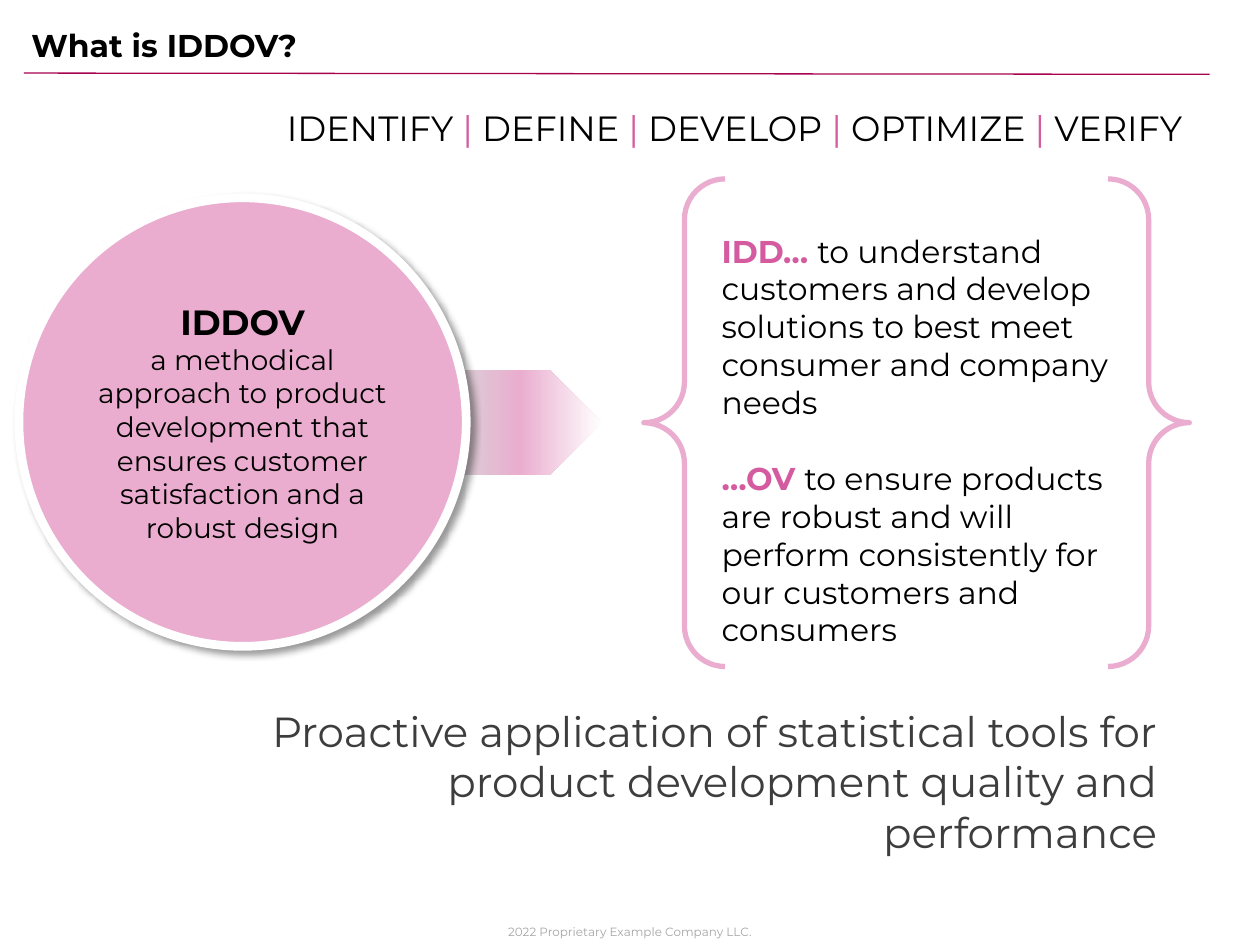
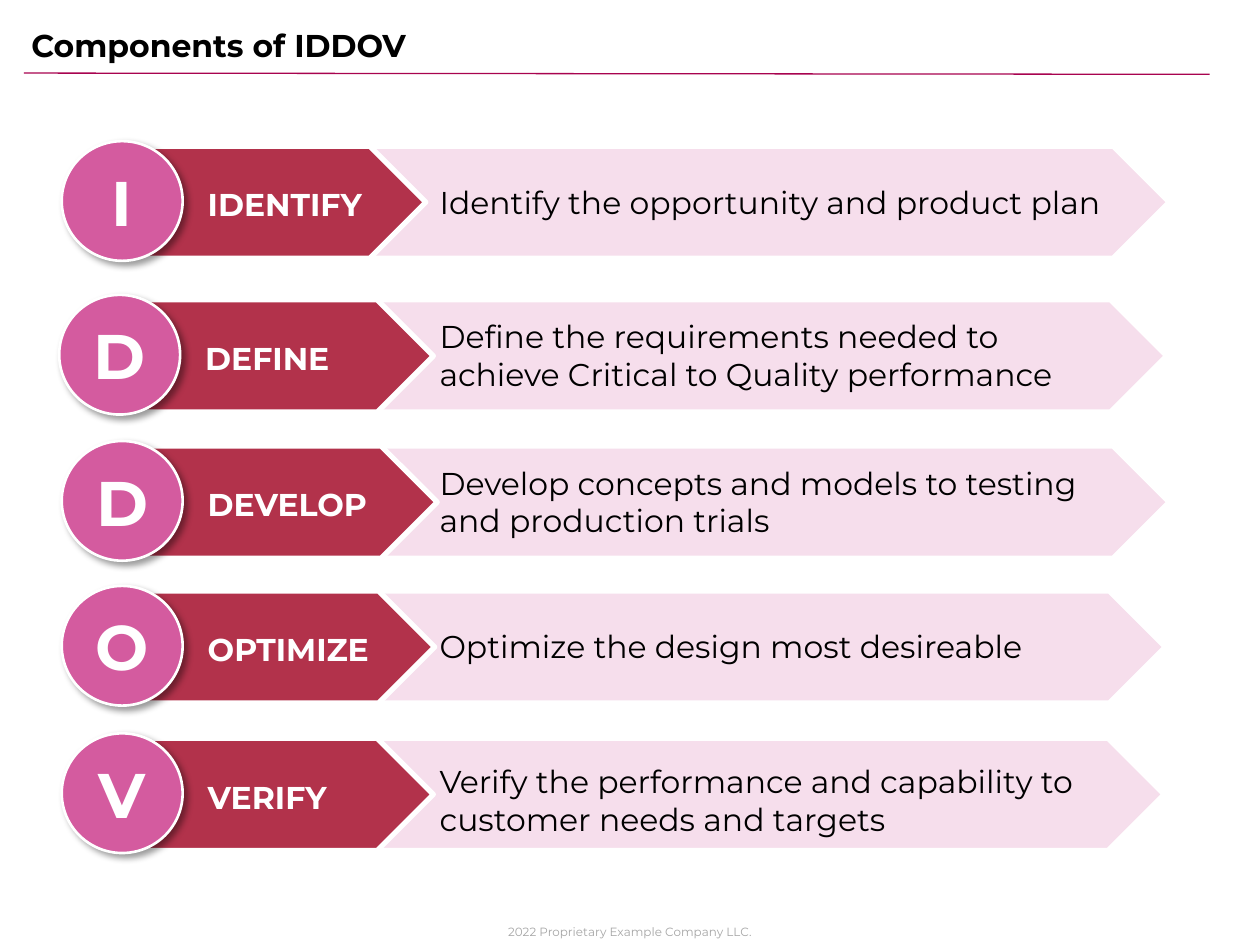
from copy import deepcopy
from lxml.etree import SubElement
from pptx import Presentation
from pptx.dml.color import RGBColor
from pptx.enum.shapes import MSO_CONNECTOR, MSO_SHAPE
from pptx.enum.text import MSO_ANCHOR, PP_ALIGN
from pptx.oxml.ns import qn
from pptx.util import Inches, Pt

FONT = "Montserrat"
BLACK, WHITE, GRAY, CHARCOAL = "000000", "FFFFFF", "A6A6A6", "3D3D3D"
MAGENTA, PINK, ROSE, PALE, CRIMSON = "A8034F", "D45B9F", "EAADCF", "F6DEEC", "B2324B"


def write(para, text, size=18, color=BLACK, bold=False, align=PP_ALIGN.LEFT):
    para.alignment = align
    span = para.add_run()
    span.text = text
    span.font.name = FONT
    span.font.size = Pt(size)
    span.font.bold = bold
    span.font.color.rgb = RGBColor.from_string(color)


def draw(page, kind, left, top, width, height, fill=None, line=None, weight=1, shadow=False):
    area = [Inches(length) for length in (left, top, width, height)]
    if kind is None:
        box = page.shapes.add_textbox(*area)
    else:
        box = page.shapes.add_shape(kind, *area)
        box.shadow.inherit = False
        box.text_frame.vertical_anchor = MSO_ANCHOR.MIDDLE
    box.text_frame.word_wrap = True
    if fill:
        box.fill.solid()
        box.fill.fore_color.rgb = RGBColor.from_string(fill)
    else:
        box.fill.background()
    if line:
        box.line.color.rgb = RGBColor.from_string(line)
        box.line.width = Pt(weight)
    else:
        box.line.fill.background()
    if shadow:
        effects = box._element.spPr.find(qn("a:effectLst"))
        outer = SubElement(effects, qn("a:outerShdw"), blurRad=str(Pt(4)), dist=str(Pt(3)),
                           dir="2700000", algn="tl", rotWithShape="0")
        tint = SubElement(outer, qn("a:srgbClr"), val=BLACK)
        SubElement(tint, qn("a:alpha"), val="40000")
    return box


deck = Presentation()
deck.slide_width, deck.slide_height = Inches(10), Inches(7.5)

for title in ("What is IDDOV?", "Components of IDDOV"):
    page = deck.slides.add_slide(deck.slide_layouts[6])
    footer = draw(page, None, 3.5, 7.29, 3, 0.21)
    write(footer.text_frame.paragraphs[0], "2022 Proprietary Example Company LLC.",
          size=6.8, color=GRAY, align=PP_ALIGN.CENTER)
    rule = page.shapes.add_connector(MSO_CONNECTOR.STRAIGHT, Inches(0.19), Inches(0.58),
                                     Inches(9.6), Inches(0.59))
    rule.line.color.rgb = RGBColor.from_string(MAGENTA)
    rule.line.width = Pt(0.75)
    SubElement(rule._element.spPr, qn("a:effectLst"))
    heading = draw(page, None, 0.15, 0.16, 7.64, 0.4)
    write(heading.text_frame.paragraphs[0], title, bold=True)

overview, components = deck.slides

summary = draw(overview, None, 2.02, 5.55, 7.26, 1.31)
write(summary.text_frame.paragraphs[0],
      "Proactive application of statistical tools for product development quality and performance",
      size=24, color=CHARCOAL, align=PP_ALIGN.RIGHT)

arrow = draw(overview, MSO_SHAPE.PENTAGON, 3.53, 2.94, 1.25, 0.83)
arrow.fill.gradient()
arrow.fill.gradient_angle = 0
stop_list = arrow._element.spPr.find(".//" + qn("a:gsLst"))
stop_list.append(deepcopy(stop_list[0]))
for stop, (position, color) in zip(arrow.fill.gradient_stops,
                                   ((0, "D8D8D8"), (0.48, ROSE), (1, WHITE))):
    stop.position = position
    stop.color.rgb = RGBColor.from_string(color)

circle = draw(overview, MSO_SHAPE.OVAL, 0.15, 1.57, 3.55, 3.56, ROSE, WHITE, 5, shadow=True)
write(circle.text_frame.paragraphs[0], "IDDOV", size=20, bold=True, align=PP_ALIGN.CENTER)
write(circle.text_frame.add_paragraph(),
      "a methodical approach to product development that ensures customer satisfaction "
      "and a robust design", size=16, align=PP_ALIGN.CENTER)

braces = draw(overview, MSO_SHAPE.DOUBLE_BRACE, 5.11, 1.42, 4.33, 3.87, line=ROSE, weight=3)
frame = braces.text_frame
frame.margin_left, frame.margin_bottom = Inches(0.2), Inches(0.05)
frame.margin_top = frame.margin_right = 0
frame.paragraphs[0].space_after = Pt(22)
goals = (
    ("IDD… ", "to understand customers and develop solutions to best meet consumer "
     "and company needs"),
    ("…OV ", "to ensure products are robust and will perform consistently for our "
     "customers and consumers"),
)
for para, (lead, goal) in zip((frame.paragraphs[0], frame.add_paragraph()), goals):
    write(para, lead, color=PINK, bold=True)
    write(para, goal)

steps = draw(overview, None, 1.85, 0.8, 7.96, 0.44)
para = steps.text_frame.paragraphs[0]
for index, step in enumerate(("IDENTIFY", "DEFINE", "DEVELOP", "OPTIMIZE", "VERIFY")):
    if index:
        write(para, " | ", size=20, color=PINK, align=PP_ALIGN.CENTER)
    write(para, step, size=20, align=PP_ALIGN.CENTER)

rows = (
    ("IDENTIFY", "Identify the opportunity and product plan", 1.16, 0.49, 0.95, 2.24, 1.6),
    ("DEFINE", "Define the requirements needed to achieve Critical to Quality performance",
     2.38, 0.47, 1.01, 2.22, 2.82),
    ("DEVELOP", "Develop concepts and models to testing and production trials",
     3.54, 0.49, 1.04, 2.24, 3.98),
    ("OPTIMIZE", "Optimize the design most desireable", 4.69, 0.49, 1.02, 2.21, 5.13),
    ("VERIFY", "Verify the performance and capability to customer needs and targets",
     5.86, 0.49, 1.01, 2.2, 6.35),
)
for name, detail, top, badge_left, name_left, detail_left, detail_middle in rows:
    draw(components, MSO_SHAPE.PENTAGON, detail_left, top, 7.04, 0.89, PALE, WHITE, 3)
    draw(components, MSO_SHAPE.PENTAGON, name_left, top, 2.43, 0.89, CRIMSON, WHITE, 3)
    detail_box = draw(components, None, 3.39, detail_middle - 0.38, 5.55, 0.76)
    detail_box.text_frame.vertical_anchor = MSO_ANCHOR.MIDDLE
    write(detail_box.text_frame.paragraphs[0], detail)
    badge = draw(components, MSO_SHAPE.OVAL, badge_left, top - 0.04, 0.96, 0.95,
                 PINK, WHITE, 1.5, shadow=True)
    write(badge.text_frame.paragraphs[0], name[0], size=36, color=WHITE, bold=True,
          align=PP_ALIGN.CENTER)
    label = draw(components, None, badge_left + 1.06, top + 0.28, 1.69, 0.4)
    label.text_frame.vertical_anchor = MSO_ANCHOR.MIDDLE
    label.text_frame.paragraphs[0].line_spacing = 0.9
    write(label.text_frame.paragraphs[0], name, color=WHITE, bold=True)

deck.save("out.pptx")
